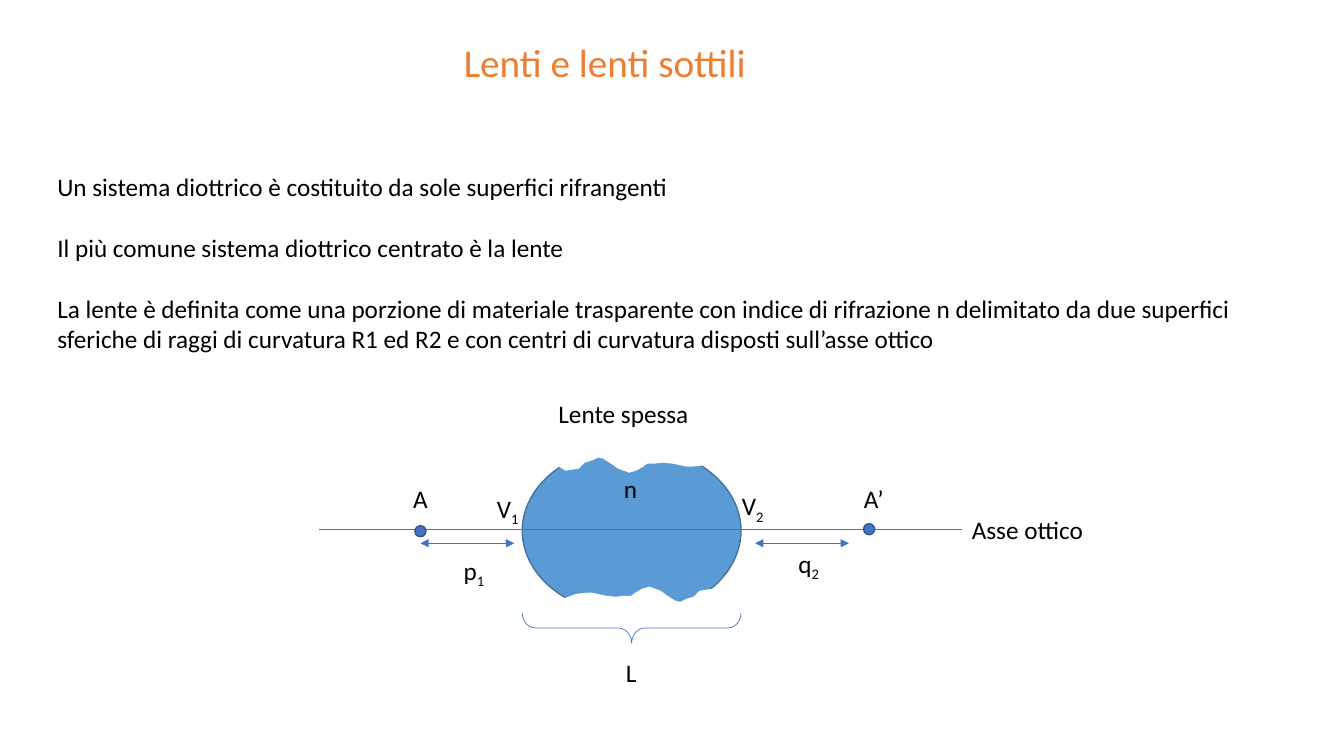
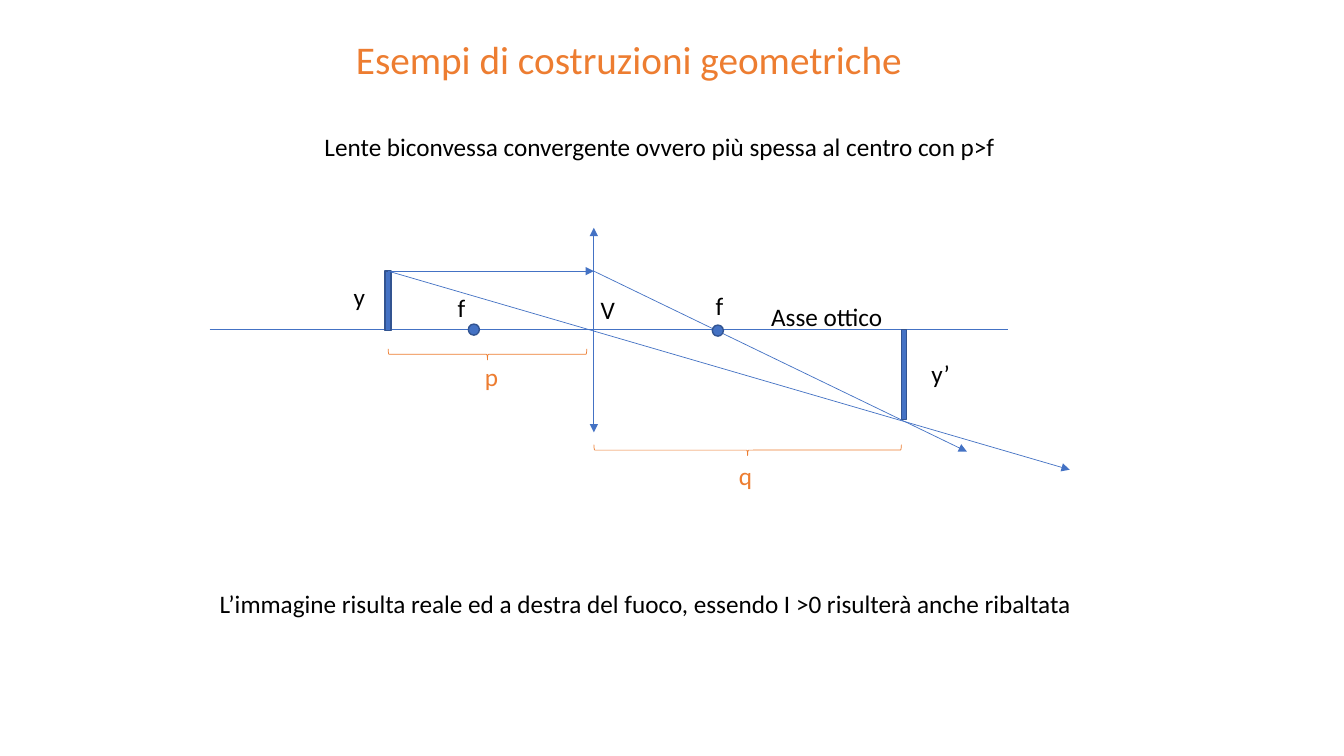
"""Build two slides on thick lenses and geometric image construction."""
import dataclasses

import lxml.etree
import pptx
import pptx.dml.color
import pptx.enum.shapes
import pptx.enum.text
import pptx.oxml.ns
import pptx.util

Inches = pptx.util.Inches
Pt = pptx.util.Pt
SHAPE = pptx.enum.shapes.MSO_SHAPE
TEXT = pptx.enum.text


@dataclasses.dataclass(frozen=True)
class Theme:
    font: str = "Calibri"
    title_size: int = 28
    text_size: int = 18
    thin: float = 0.5
    outline: float = 1
    black: str = "000000"
    white: str = "FFFFFF"
    orange: str = "ED7D31"
    blue: str = "4472C4"
    dark_blue: str = "325491"
    lens: str = "5B9BD5"
    lens_edge: str = "43739E"


def rgb(value):
    return pptx.dml.color.RGBColor.from_string(value)


def apply(target, values):
    for name, value in values.items():
        setattr(target, name, value)


class Deck:
    """Hold the style and the current slide, and draw each kind of element."""

    def __init__(self, theme):
        self.theme = theme
        self.prs = pptx.Presentation()
        apply(self.prs, {"slide_width": Inches(13.33), "slide_height": Inches(7.5)})

    def slide(self, title, x, y, w):
        self.s = self.prs.slides.add_slide(self.prs.slide_layouts[5])
        sp = self.s.shapes.title
        apply(sp, {"left": Inches(x), "top": Inches(y),
                   "width": Inches(w), "height": Inches(0.57)})
        self.fill_text(sp, [title], self.theme.title_size, self.theme.orange)

    def fill_text(self, sp, lines, size, color, sub="", wrap=False, gap=0):
        tf = sp.text_frame
        apply(tf, {"word_wrap": wrap, "vertical_anchor": TEXT.MSO_ANCHOR.TOP,
                   "auto_size": TEXT.MSO_AUTO_SIZE.SHAPE_TO_FIT_TEXT})
        for i, line in enumerate(lines):
            p = tf.add_paragraph() if i else tf.paragraphs[0]
            apply(p, {"alignment": TEXT.PP_ALIGN.LEFT, "line_spacing": 1.0,
                      "space_before": Pt(gap if i else 0)})
            for text in filter(None, (line, sub)):
                r = p.add_run()
                r.text = text
                apply(r.font, {"name": self.theme.font, "size": Pt(size)})
                r.font.color.rgb = rgb(color)
        if sub:
            r.font._element.set("baseline", "-25000")

    def text(self, x, y, w, *lines, h=0.4, color=None, **options):
        sp = self.s.shapes.add_textbox(Inches(x), Inches(y), Inches(w), Inches(h))
        self.fill_text(sp, lines, self.theme.text_size, color or self.theme.black, **options)

    def paint(self, sp, fill=None, line=None, width=None):
        sp.shadow.inherit = False
        for part, color in ((sp.fill, fill), (sp.line.fill, line)):
            if color:
                part.solid()
                part.fore_color.rgb = rgb(color)
            else:
                part.background()
        if line:
            sp.line.width = Pt(width or self.theme.outline)
        return sp

    def shape(self, kind, x, y, w, h, fill=None, line=None, width=None):
        sp = self.s.shapes.add_shape(kind, Inches(x), Inches(y), Inches(w), Inches(h))
        return self.paint(sp, fill, line, width)

    def dot(self, cx, cy, d=0.11):
        self.shape(SHAPE.OVAL, cx - d / 2, cy - d / 2, d, d,
                   self.theme.blue, self.theme.dark_blue)

    def bar(self, x, y, w, h):
        return self.shape(SHAPE.RECTANGLE, x, y, w, h,
                          self.theme.blue, self.theme.dark_blue)

    def brace(self, x, y, span, depth, color, curve=0.08):
        sp = self.shape(SHAPE.LEFT_BRACE, x + (span - depth) / 2, y + (depth - span) / 2,
                        depth, span, line=color, width=self.theme.thin)
        sp.rotation = 270
        sp.adjustments[0] = curve

    def line(self, x1, y1, x2, y2, ends=(), start=None):
        c = self.s.shapes.add_connector(pptx.enum.shapes.MSO_CONNECTOR.STRAIGHT,
                                        Inches(x1), Inches(y1), Inches(x2), Inches(y2))
        if start is not None:
            c.begin_connect(start, 0)
        c.line.color.rgb = rgb(self.theme.blue)
        c.line.width = Pt(self.theme.thin)
        qn = pptx.oxml.ns.qn
        props = c._element.spPr
        for end in ends:
            lxml.etree.SubElement(props.find(qn("a:ln")), qn(f"a:{end}"), type="triangle")
        lxml.etree.SubElement(props, qn("a:effectLst"))

    def torn_edge(self, points, y, rotation=0):
        first, *rest = [(Inches(px), Inches(py)) for px, py in points]
        builder = self.s.shapes.build_freeform(*first, scale=1.0)
        builder.add_line_segments(rest, close=True)
        sp = self.paint(builder.convert_to_shape(), self.theme.white)
        apply(sp, {"top": Inches(y), "rotation": rotation})


BOTH = ("headEnd", "tailEnd")
TO = ("tailEnd",)
TEAR = [
    (5.18, 4.51), (5.29, 4.52), (5.39, 4.53), (5.47, 4.57), (5.54, 4.63), (5.61, 4.67),
    (5.74, 4.65), (5.8, 4.59), (5.87, 4.57), (5.93, 4.54), (5.98, 4.55), (6.06, 4.6),
    (6.13, 4.65), (6.24, 4.69), (6.31, 4.67), (6.38, 4.63), (6.42, 4.6), (6.49, 4.6),
    (6.57, 4.59), (6.67, 4.6), (6.81, 4.63), (6.86, 4.63), (6.96, 4.62), (7.1, 4.57),
    (7.18, 4.54), (7.24, 4.53), (7.39, 4.54), (7.5, 4.51), (7.43, 4.36), (7.36, 4.25),
    (7.26, 4.23), (7.02, 4.19), (6.47, 4.13), (5.85, 4.16), (5.55, 4.23), (5.32, 4.25),
    (5.19, 4.3), (5.25, 4.4), (5.24, 4.46),
]


def thick_lens(d):
    t = d.theme
    d.slide("Lenti e lenti sottili", 4.5, 0.33, 3.04)
    d.text(0.47, 1.65, 12.44,
           "Un sistema diottrico è costituito da sole superfici rifrangenti",
           "Il più comune sistema diottrico centrato è la lente",
           "La lente è definita come una porzione di materiale trasparente con indice di "
           "rifrazione n delimitato da due superfici sferiche di raggi di curvatura R1 ed R2 "
           "e con centri di curvatura disposti sull’asse ottico",
           h=1.92, wrap=True, gap=22)
    d.shape(SHAPE.OVAL, 5.18, 4.43, 2.17, 1.67, t.lens, t.lens_edge)
    d.torn_edge(TEAR, 4.13)
    d.torn_edge(TEAR, 5.82, 180)
    d.brace(5.18, 6.08, 2.17, 0.3, t.blue, 0.44)
    d.line(3.16, 5.25, 9.54, 5.25)
    for x in (4.17, 7.49):
        d.line(x, 5.39, x + 0.93, 5.39, BOTH)
    d.dot(4.17, 5.27)
    d.dot(8.62, 5.25)
    for x, y, w, label, sub in (
        (6.11, 6.47, 0.31, "L", ""), (9.54, 5.05, 1.32, "Asse ottico", ""),
        (4, 4.75, 0.35, "A", ""), (8.47, 4.75, 0.4, "A’", ""),
        (4.5, 5.46, 0.42, "p", "1"), (7.82, 5.39, 0.42, "q", "2"),
        (6.09, 4.65, 0.34, "n", ""), (4.83, 4.84, 0.43, "V", "1"),
        (7.26, 4.82, 0.43, "V", "2"), (5.44, 3.9, 1.51, "Lente spessa", ""),
    ):
        d.text(x, y, w, label, sub=sub)


def construction(d):
    t = d.theme
    d.slide("Esempi di costruzioni geometriche", 3.43, 0.3, 5.67)
    axis, vertex, ray = 3.27, 5.89, 2.69
    d.line(2.08, axis, 10, axis)
    d.line(vertex, 2.26, vertex, 4.29, BOTH)
    source = d.bar(3.82, ray, 0.06, 0.59)
    d.line(3.85, ray, vertex, ray, TO, source)
    d.line(vertex, ray, 9.59, 4.48, TO)
    d.line(3.85, ray, 10.61, 4.66, TO, source)
    d.bar(8.94, axis, 0.05, 0.89)
    d.brace(vertex, 4.41, 3.05, 0.11, t.orange)
    d.brace(3.85, 3.46, 1.97, 0.11, t.orange)
    d.dot(7.12, 3.28)
    d.dot(4.7, axis)
    for x, y, w, label, color in (
        (3.12, 1.25, 6.87,
         "Lente biconvessa convergente ovvero più spessa al centro con p>f", t.black),
        (2.08, 5.79, 8.74, "L’immagine risulta reale ed a destra del fuoco, "
         "essendo I >0 risulterà anche ribaltata", t.black),
        (3.41, 2.74, 0.32, "y", t.black), (9.14, 3.51, 0.39, "y’", t.black),
        (7, 2.83, 0.28, "f", t.black), (4.44, 2.85, 0.28, "f", t.black),
        (5.86, 2.87, 0.35, "V", t.black), (7.55, 2.94, 1.32, "Asse ottico", t.black),
        (4.71, 3.54, 0.34, "p", t.orange), (7.23, 4.52, 0.34, "q", t.orange),
    ):
        d.text(x, y, w, label, color=color)


def main():
    deck = Deck(Theme())
    thick_lens(deck)
    construction(deck)
    deck.prs.save("out.pptx")


if __name__ == "__main__":
    main()
